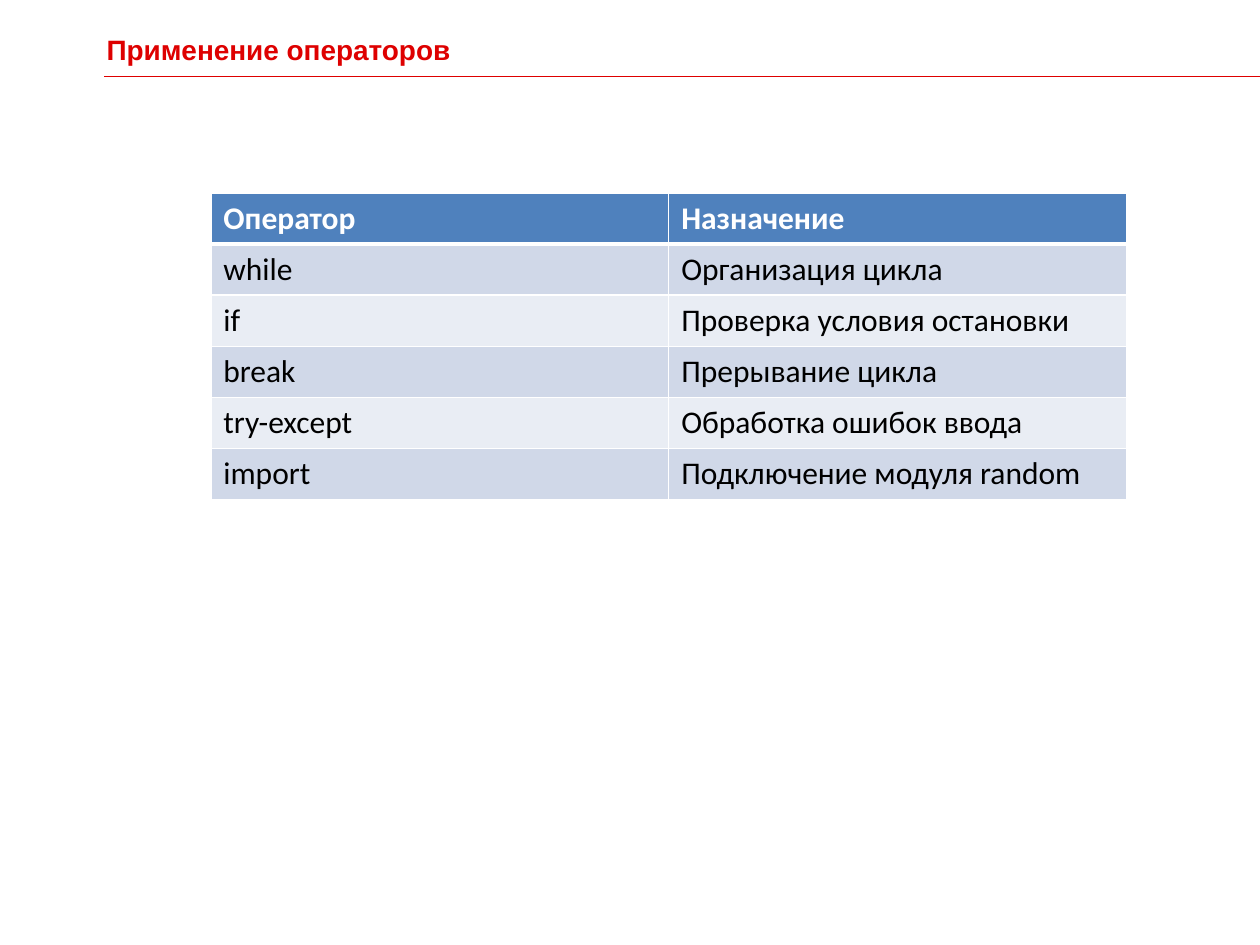
"""Build a slide with a table of operators and their purposes."""
from typing import NamedTuple

from lxml import etree
from pptx import Presentation
from pptx import util as u
from pptx.dml.color import RGBColor
from pptx.enum import shapes, text
from pptx.oxml import ns

RED = RGBColor(0xDE, 0x00, 0x00)
WHITE = RGBColor(0xFF, 0xFF, 0xFF)
BLACK = RGBColor(0x00, 0x00, 0x00)
HEADER_BLUE = RGBColor(0x4F, 0x81, 0xBD)
BAND_DARK = RGBColor(0xD0, 0xD8, 0xE8)
BAND_LIGHT = RGBColor(0xE9, 0xED, 0xF4)


class Operator(NamedTuple):
    name: str
    purpose: str


class RowStyle(NamedTuple):
    fill: RGBColor
    color: RGBColor
    bold: bool
    top: float
    bottom: float


HEADER = Operator("Оператор", "Назначение")
OPERATORS = [
    Operator("while", "Организация цикла"),
    Operator("if", "Проверка условия остановки"),
    Operator("break", "Прерывание цикла"),
    Operator("try-except", "Обработка ошибок ввода"),
    Operator("import", "Подключение модуля random"),
]


def format_run(r, font: str, size: float, color: RGBColor, bold: bool) -> None:
    r.font.name = font
    r.font.size = u.Pt(size)
    r.font.bold = bold
    r.font.color.rgb = color


def add_title(s, title: str) -> None:
    sp = s.shapes.add_textbox(u.Cm(1.9), u.Cm(0.53), u.Cm(18.8), u.Cm(0.94))
    tf = sp.text_frame
    tf.word_wrap = True
    tf.auto_size = text.MSO_AUTO_SIZE.SHAPE_TO_FIT_TEXT
    tf.text = title
    format_run(tf.paragraphs[0].runs[0], "Arial", 16, RED, True)


def add_rule(s) -> None:
    y = u.Cm(1.54)
    sp = s.shapes.add_connector(shapes.MSO_CONNECTOR.STRAIGHT, u.Cm(2.1), y, u.Cm(25.4), y)
    sp.line.color.rgb = RED
    sp.line.width = u.Pt(0.75)
    etree.SubElement(sp.element.spPr, ns.qn("a:effectLst"))


def add_border(cell, side: str, width: float) -> None:
    ln = etree.SubElement(cell._tc.get_or_add_tcPr(), ns.qn(f"a:ln{side}"), w=str(u.Pt(width)))
    fill = etree.SubElement(ln, ns.qn("a:solidFill"))
    etree.SubElement(fill, ns.qn("a:srgbClr"), val=str(WHITE))


def row_style(index: int) -> RowStyle:
    if index == 0:
        return RowStyle(HEADER_BLUE, WHITE, True, 1, 3)
    fill = BAND_DARK if index % 2 else BAND_LIGHT
    return RowStyle(fill, BLACK, False, 3 if index == 1 else 1, 1)


def fill_cell(cell, value: str, style: RowStyle) -> None:
    for side, width in (("L", 1), ("R", 1), ("T", style.top), ("B", style.bottom)):
        add_border(cell, side, width)
    cell.fill.solid()
    cell.fill.fore_color.rgb = style.fill
    cell.text_frame.text = value
    r = cell.text_frame.paragraphs[0].runs[0]
    format_run(r, "Calibri", 18, style.color, style.bold)


def add_operator_table(s, rows: list[Operator]) -> None:
    height = u.Cm(1.03)
    table = s.shapes.add_table(
        len(rows), len(HEADER), u.Cm(4.25), u.Cm(3.89), u.Cm(18.46), height * len(rows)
    ).table
    for i, operator in enumerate(rows):
        table.rows[i].height = height
        for j, value in enumerate(operator):
            fill_cell(table.cell(i, j), value, row_style(i))


def main() -> None:
    prs = Presentation()
    prs.slide_width, prs.slide_height = u.Cm(25.4), u.Cm(19.05)
    s = prs.slides.add_slide(prs.slide_layouts[6])
    add_title(s, "Применение операторов")
    add_rule(s)
    add_operator_table(s, [HEADER, *OPERATORS])
    prs.save("out.pptx")


if __name__ == "__main__":
    main()
